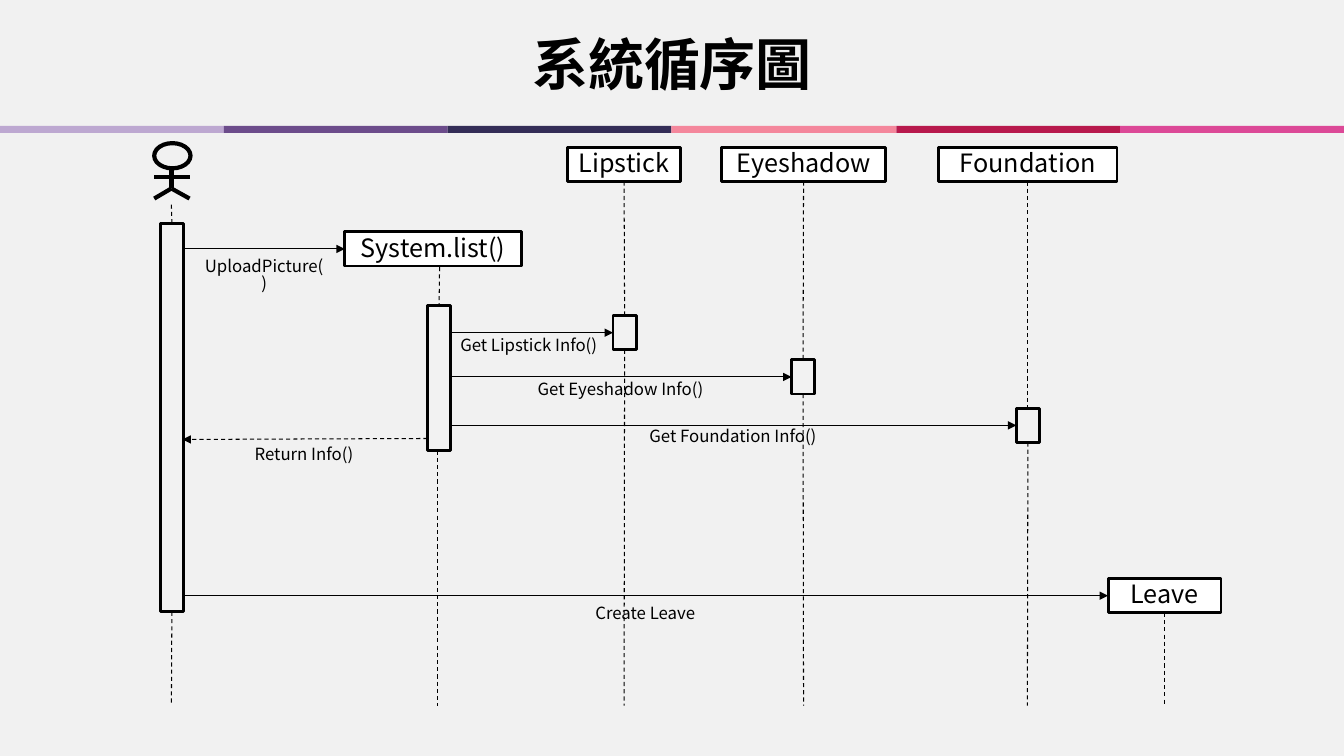
from lxml import etree
from pptx import Presentation
from pptx import util as u
from pptx.dml.color import RGBColor
from pptx.enum import dml, shapes, text
from pptx.oxml.ns import qn

TOP, LEFT, BOTTOM = 0, 1, 2
WIDTH, HEIGHT = 1333, 750
STRIPES = ["BDA8D1", "6C4C8B", "342D57", "F4879C", "B81A4D", "DC4997"]
LIFELINE_END = 700


def px(length):
    return u.Emu(length * 9144)


def colour(value):
    return RGBColor.from_string(value)


class SequenceSlide:
    """Draws the parts of a sequence diagram on one slide."""

    ink = "000000"
    paper = "FFFFFF"
    bar_fill = "F2F2F2"
    body_font = "Noto Sans CJK KR"
    title_font = "Noto Sans CJK SC"

    def __init__(self, presentation):
        self.slide = presentation.slides.add_slide(presentation.slide_layouts[5])
        fill = self.slide.background.fill
        fill.solid()
        fill.fore_color.rgb = colour("F1F1F1")

    def set_text(self, shape, words, size, font, spacing, inset, bold=False, wrap=True):
        frame = shape.text_frame
        frame.text = words
        frame.word_wrap = wrap
        frame.auto_size = text.MSO_AUTO_SIZE.NONE
        frame.vertical_anchor = text.MSO_ANCHOR.TOP
        frame.margin_left = frame.margin_right = px(10)
        frame.margin_top = px(inset)
        frame.margin_bottom = px(5)
        paragraph = frame.paragraphs[0]
        paragraph.alignment = text.PP_ALIGN.CENTER
        paragraph.line_spacing = spacing
        run = paragraph.runs[0]
        run.font.size = u.Pt(size)
        run.font.bold = bold
        run.font.name = font
        run.font.color.rgb = colour(self.ink)
        east_asian = etree.SubElement(run.font._element, qn("a:ea"))
        east_asian.set("typeface", font)

    def title(self, words, left, top, width, height):
        shape = self.slide.shapes.title
        shape.left, shape.top = px(left), px(top)
        shape.width, shape.height = px(width), px(height)
        self.set_text(shape, words, 40, self.title_font, 0.9, 5, bold=True)

    def shape(self, left, top, width, height, fill=None, line=None,
              kind=shapes.MSO_SHAPE.RECTANGLE):
        shape = self.slide.shapes.add_shape(
            kind, px(left), px(top), px(width), px(height))
        shape.shadow.inherit = False
        if fill:
            shape.fill.solid()
            shape.fill.fore_color.rgb = colour(fill)
        else:
            shape.fill.background()
        if line:
            shape.line.color.rgb = colour(self.ink)
            shape.line.width = u.Pt(line)
        else:
            shape.line.fill.background()
        return shape

    def bar(self, left, top, height):
        return self.shape(left, top, 23, height, self.bar_fill, 2)

    def head(self, words, left, top, width):
        shape = self.shape(left, top, width, 34, self.paper, 2)
        self.set_text(shape, words, 18, self.body_font, 0.8, 6, wrap=False)
        return shape

    def label(self, words, left, top, width):
        shape = self.slide.shapes.add_textbox(px(left), px(top), px(width), px(26))
        self.set_text(shape, words, 12, self.body_font, 0.8, 6)

    def line(self, x1, y1, x2, y2, width=0.75, dash=False, arrow=False,
             begin=None, end=None):
        connector = self.slide.shapes.add_connector(
            shapes.MSO_CONNECTOR.STRAIGHT, px(x1), px(y1), px(x2), px(y2))
        if begin:
            connector.begin_connect(*begin)
        if end:
            connector.end_connect(*end)
        connector.line.color.rgb = colour(self.ink)
        connector.line.width = u.Pt(width)
        if dash:
            connector.line.dash_style = dml.MSO_LINE.DASH
        properties = connector._element.spPr
        if arrow:
            tail = etree.SubElement(properties.find(qn("a:ln")), qn("a:tailEnd"))
            tail.set("type", "triangle")
        etree.SubElement(properties, qn("a:effectLst"))

    def actor(self, centre, top):
        self.shape(centre - 17, top, 36, 25, line=3, kind=shapes.MSO_SHAPE.OVAL)
        neck, arms, hips, feet = top + 25, top + 34, top + 45, top + 55
        self.line(centre, neck, centre, hips, 3)
        self.line(centre - 17, arms, centre + 18, arms, 3)
        for foot in (centre - 17, centre + 18):
            self.line(centre, hips, foot, feet, 3)


def main():
    presentation = Presentation()
    presentation.slide_width, presentation.slide_height = px(WIDTH), px(HEIGHT)
    page = SequenceSlide(presentation)
    page.title("系統循序圖", 454, 32, 425, 77)

    edges = [round(WIDTH * i / len(STRIPES)) for i in range(len(STRIPES) + 1)]
    for left, right, fill in zip(edges, edges[1:], STRIPES):
        page.shape(left, 125, right - left, 7, fill)

    page.actor(170, 142)
    user_bar = page.bar(159, 222, 385)
    page.line(170, 203, 170, 222, dash=True, end=(user_bar, TOP))
    page.line(170, 607, 170, LIFELINE_END, dash=True, begin=(user_bar, BOTTOM))

    system = page.head("System.list()", 342, 230, 175)
    system_bar = page.bar(424, 303, 144)
    page.line(181, 247, 342, 247, arrow=True, end=(system, LEFT))
    page.line(436, 265, 436, 303, dash=True, end=(system_bar, TOP))
    page.line(434, 447, 434, LIFELINE_END, dash=True)

    products = [
        ("Lipstick", 563, 112, 608, 313, 330, 157),
        ("Eyeshadow", 716, 162, 785, 357, 374, 339),
        ("Foundation", 931, 177, 1008, 405, 420, 562),
    ]
    for name, left, width, bar_left, bar_top, label_top, label_width in products:
        head = page.head(name, left, 146, width)
        bar = page.bar(bar_left, bar_top, 34)
        centre, call = left + width // 2, bar_top + 17
        page.line(centre, 180, centre, bar_top, dash=True,
                  begin=(head, BOTTOM), end=(bar, TOP))
        page.line(centre, bar_top + 34, centre, LIFELINE_END, dash=True,
                  begin=(bar, BOTTOM))
        page.line(446, call, bar_left, call, arrow=True, end=(bar, LEFT))
        page.label(f"Get {name} Info()", 446, label_top, label_width)

    leave = page.head("Leave", 1099, 574, 112)
    page.line(181, 591, 1099, 591, arrow=True, end=(leave, LEFT))
    page.line(1155, 608, 1155, LIFELINE_END, dash=True, begin=(leave, BOTTOM))
    page.line(424, 435, 181, 436, dash=True, arrow=True)

    page.label("UploadPicture()", 192, 252, 140)
    page.label("Return Info()", 181, 438, 241)
    page.label("Create Leave", 181, 596, 918)
    presentation.save("out.pptx")


if __name__ == "__main__":
    main()
